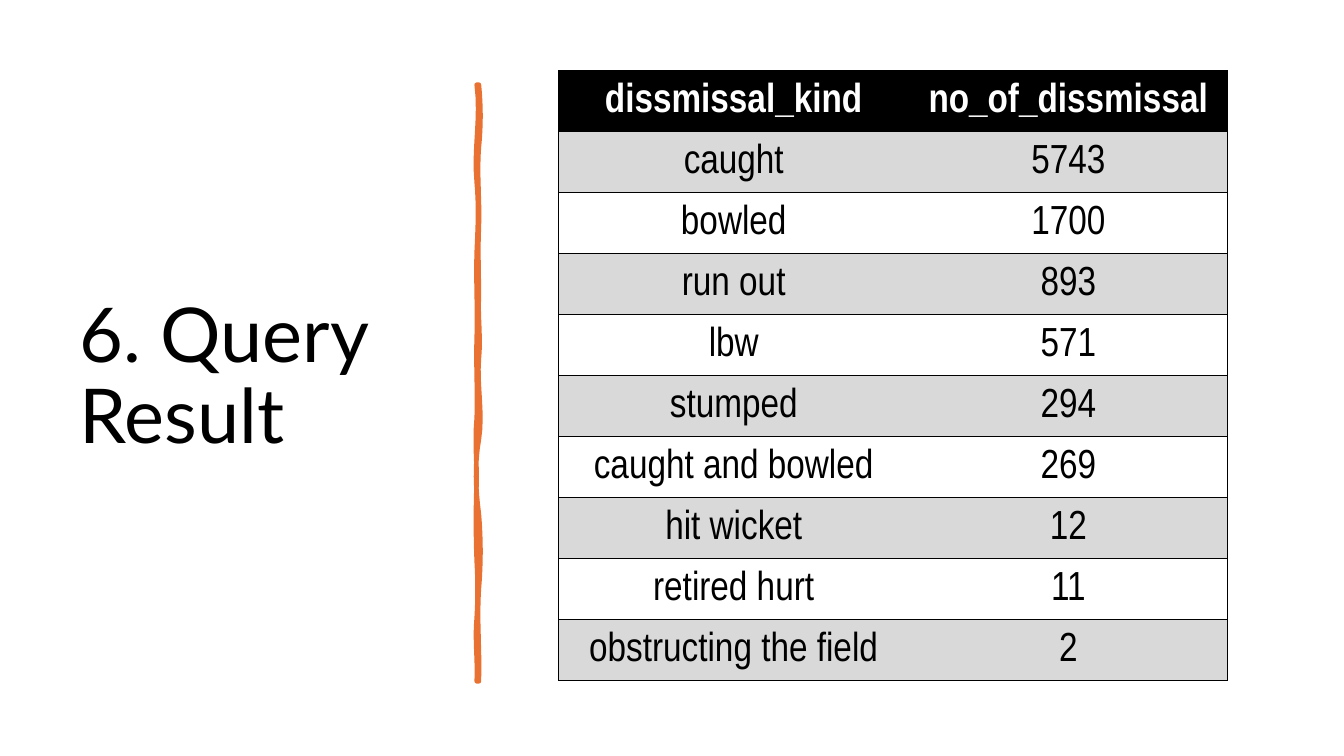
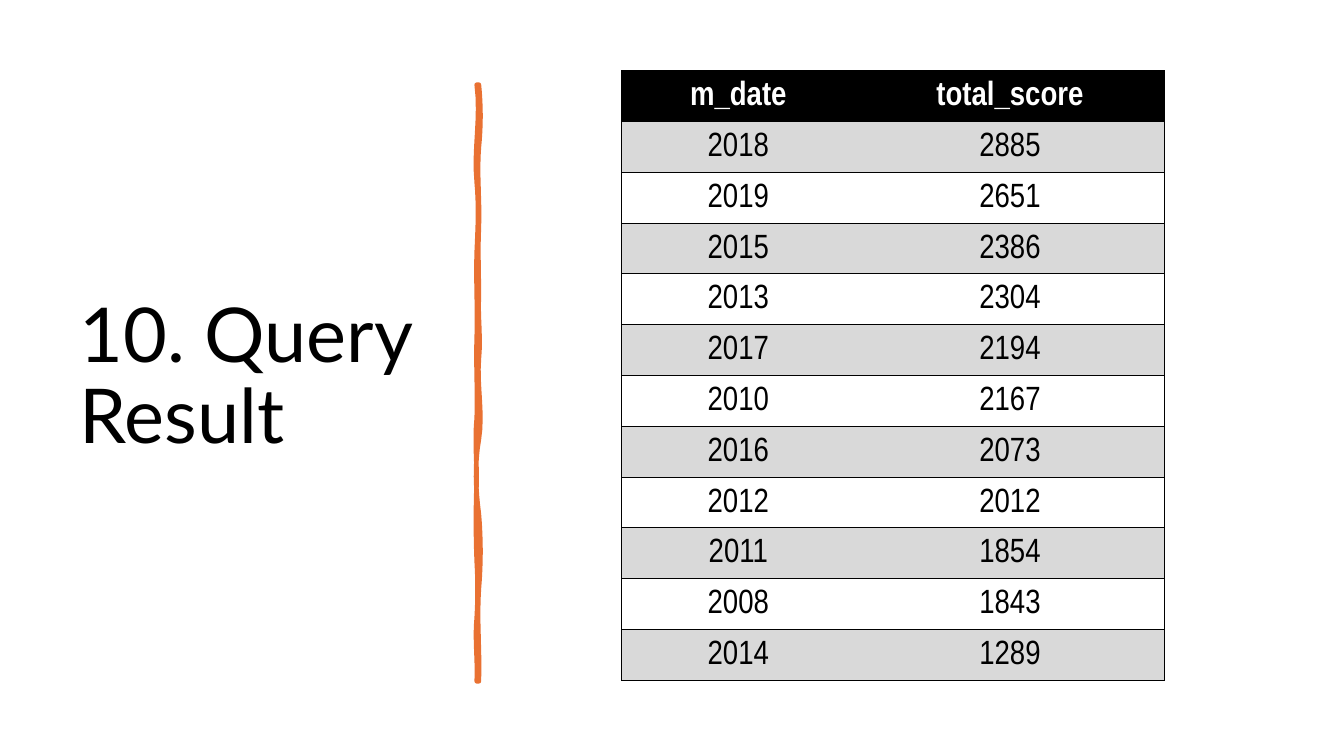
import pptx
import pptx.dml.color
import pptx.enum.text
import pptx.oxml
import pptx.oxml.ns
import pptx.util

BLACK = pptx.dml.color.RGBColor(0x00, 0x00, 0x00)
WHITE = pptx.dml.color.RGBColor(0xFF, 0xFF, 0xFF)
GREY = pptx.dml.color.RGBColor(0xD9, 0xD9, 0xD9)
ORANGE = pptx.dml.color.RGBColor(0xE9, 0x71, 0x32)

TITLE_FONT = "Lato"
TABLE_FONT = "Arial Narrow"
PLAIN_TABLE_STYLE = "{2D5ABB26-0587-4C30-8999-92F81FD0307C}"

GRID = 100
CONTENT_TOP = 9.33
TABLE_CENTRE = 66.45
TABLE_HEIGHT = 80.67

STROKE_CENTRE = 35.55
STROKE_TOP = 11.2
STROKE_BOTTOM = 90.13
SWAY = 0.08
STEPS = 8
RIGHT_BENDS = [
    (2, 2, 19.47), (-2, 1, 30.13), (-1, 0, 39.2), (-1, 2, 47.47),
    (-2, 4, 58.13), (-4, -3, 68), (2, 2, 77.87), (-2, 1, STROKE_BOTTOM),
]
LEFT_BENDS = [
    (1, -2, 81.73), (1, 1, 74.27), (-1, -1, 63.6), (0, -2, 55.33),
    (1, -1, 44.67), (1, -1, 33.33), (1, 2, 24.13), (-3, 4, STROKE_TOP),
]

DISMISSALS = [
    ("dissmissal_kind", "no_of_dissmissal"),
    ("caught", "5743"),
    ("bowled", "1700"),
    ("run out", "893"),
    ("lbw", "571"),
    ("stumped", "294"),
    ("caught and bowled", "269"),
    ("hit wicket", "12"),
    ("retired hurt", "11"),
    ("obstructing the field", "2"),
]
SCORES = [
    ("m_date", "total_score"),
    ("2018", "2885"),
    ("2019", "2651"),
    ("2015", "2386"),
    ("2013", "2304"),
    ("2017", "2194"),
    ("2010", "2167"),
    ("2016", "2073"),
    ("2012", "2012"),
    ("2011", "1854"),
    ("2008", "1843"),
    ("2014", "1289"),
]


def wavy_edge(x, start, bends):
    points = []
    for first, second, end in bends:
        for step in range(1, STEPS + 1):
            t = step / STEPS
            pull = 3 * t * (1 - t) * (first * (1 - t) + second * t)
            points.append((x + pull * SWAY, start + (end - start) * t))
        start = end
    return points


class ResultDeck:
    def __init__(self):
        self.deck = pptx.Presentation()
        self.deck.slide_width = pptx.util.Inches(13.33)
        self.deck.slide_height = pptx.util.Inches(7.5)
        self.page = None

    def column(self, count):
        return round(self.deck.slide_width * count / GRID)

    def row(self, count):
        return round(self.deck.slide_height * count / GRID)

    def add_page(self, title):
        self.page = self.deck.slides.add_slide(self.deck.slide_layouts[6])
        self.add_title(title)
        self.add_brush_stroke()

    def add_title(self, text):
        box = self.page.shapes.add_textbox(
            self.column(5.18), self.row(CONTENT_TOP), self.column(28.05), self.row(81.47))
        frame = box.text_frame
        frame.word_wrap = True
        frame.vertical_anchor = pptx.enum.text.MSO_ANCHOR.MIDDLE
        para = frame.paragraphs[0]
        para.text = text
        para.line_spacing = 0.9
        para.font.name = TITLE_FONT
        para.font.size = pptx.util.Pt(54)
        para.font.color.rgb = BLACK

    def add_brush_stroke(self):
        right, left = STROKE_CENTRE + SWAY, STROKE_CENTRE - SWAY
        outline = wavy_edge(right, STROKE_TOP, RIGHT_BENDS)
        outline.append((left, STROKE_BOTTOM))
        outline += wavy_edge(left, STROKE_BOTTOM, LEFT_BENDS)
        builder = self.page.shapes.build_freeform(self.column(right), self.row(STROKE_TOP))
        builder.add_line_segments([(self.column(x), self.row(y)) for x, y in outline])
        stroke = builder.convert_to_shape()
        stroke.shadow.inherit = False
        stroke.fill.solid()
        stroke.fill.fore_color.rgb = ORANGE
        stroke.line.color.rgb = ORANGE
        stroke.line.width = pptx.util.Pt(3.25)
        stroke.line._get_or_add_ln().append(pptx.oxml.parse_xml(
            f"<a:round {pptx.oxml.ns.nsdecls('a')}/>"))

    def add_table(self, records, widths, size):
        frame = self.page.shapes.add_table(
            len(records), len(widths),
            self.column(TABLE_CENTRE - sum(widths) / 2), self.row(CONTENT_TOP),
            self.column(sum(widths)), self.row(TABLE_HEIGHT))
        table = frame.table
        table.horz_banding = False
        for style in frame.element.iter(pptx.oxml.ns.qn("a:tableStyleId")):
            style.text = PLAIN_TABLE_STYLE
        for column, width in zip(table.columns, widths):
            column.width = self.column(width)
        for index, record in enumerate(records):
            table.rows[index].height = self.row(TABLE_HEIGHT / len(records))
            for position, text in enumerate(record):
                sides = "LTB" if position == 0 else "RTB"
                self.fill_cell(table.cell(index, position), text, index, size, sides)

    def fill_cell(self, cell, text, index, size, sides):
        self.add_borders(cell, sides)
        if index % 2 or index == 0:
            cell.fill.solid()
            cell.fill.fore_color.rgb = GREY if index else BLACK
        else:
            cell.fill.background()
        cell.vertical_anchor = pptx.enum.text.MSO_ANCHOR.MIDDLE
        cell.margin_left = cell.margin_right = cell.margin_top = pptx.util.Inches(0.02)
        cell.margin_bottom = 0
        para = cell.text_frame.paragraphs[0]
        para.text = text
        para.alignment = pptx.enum.text.PP_ALIGN.CENTER
        para.font.name = TABLE_FONT
        para.font.size = pptx.util.Pt(size)
        para.font.bold = index == 0
        para.font.color.rgb = BLACK if index else WHITE

    def add_borders(self, cell, sides):
        properties = cell._tc.get_or_add_tcPr()
        for side in "LRTB":
            if side in sides:
                properties.append(pptx.oxml.parse_xml(
                    f"<a:ln{side} {pptx.oxml.ns.nsdecls('a')} w='{pptx.util.Pt(0.5)}'>"
                    f"<a:solidFill><a:srgbClr val='{BLACK}'/></a:solidFill></a:ln{side}>"))

    def save(self):
        self.deck.save("out.pptx")


def main():
    results = ResultDeck()
    results.add_page("6. Query Result")
    results.add_table(DISMISSALS, (26.1, 23.7), 29)
    results.add_page("10. Query Result")
    results.add_table(SCORES, (17.4, 23.03), 24)
    results.save()


if __name__ == "__main__":
    main()
